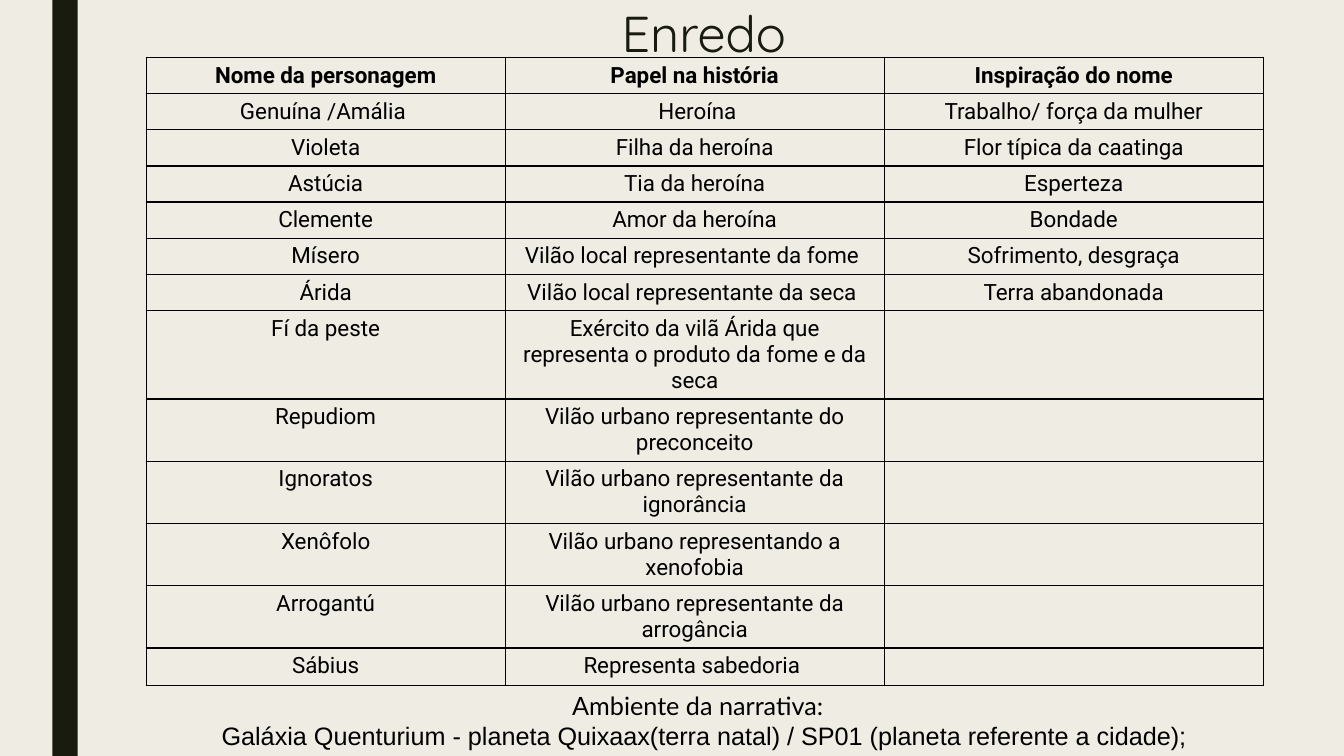
from lxml.etree import SubElement
from pptx import Presentation
from pptx.dml.color import RGBColor
from pptx.enum.shapes import MSO_SHAPE
from pptx.enum.text import MSO_ANCHOR, MSO_AUTO_SIZE, PP_ALIGN
from pptx.oxml.ns import qn
from pptx.util import Inches, Pt

WIDTH, HEIGHT = 13.33, 7.5
CREAM, DARK, BLACK = "EFEDE3", "191B0E", "000000"
TITLE = "Enredo"
HEADER = ("Nome da personagem", "Papel na história", "Inspiração do nome")
CHARACTERS = [
    ("Genuína /Amália ", " Heroína", "Trabalho/ força da mulher", 1),
    ("Violeta", "Filha da heroína", "Flor típica da caatinga", 1),
    ("Astúcia", "Tia da heroína", "Esperteza", 1),
    ("Clemente", "Amor da heroína", "Bondade", 1),
    ("Mísero", "Vilão local representante da fome ", "Sofrimento, desgraça", 1),
    ("Árida", "Vilão local representante da seca ", "Terra abandonada", 1),
    ("Fí da peste", "Exército da vilã Árida que representa o produto da fome e da seca", "", 3),
    ("Repudiom", "Vilão urbano representante do preconceito", "", 2),
    ("Ignoratos", "Vilão urbano representante da ignorância", "", 2),
    ("Xenôfolo", "Vilão urbano representando a xenofobia", "", 2),
    ("Arrogantú", "Vilão urbano representante da arrogância", "", 2),
    ("Sábius", "Representa sabedoria ", "", 1),
]
SETTING = [
    ("Ambiente da narrativa:  ", "Lato"),
    ("Galáxia Quenturium - planeta Quixaax(terra natal) / SP01 (planeta referente a cidade);", "Arial"),
]
COLUMNS = (3.56, 3.76, 3.76)
TABLE_LEFT, TABLE_TOP, TABLE_HEIGHT = 1.45, 0.57, 6.22
LINE, PADDING, CELL_SIZE = 0.26, 0.1, 16


def color(value):
    """Turn a hex string into a colour."""
    return RGBColor.from_string(value)


def box(*lengths):
    """Turn lengths in inches into slide units."""
    return [Inches(length) for length in lengths]


def write(paragraph, text, font, size, ink=BLACK, bold=False):
    """Add one centred, formatted run to a paragraph."""
    paragraph.alignment = PP_ALIGN.CENTER
    run = paragraph.add_run()
    run.text = text
    run.font.name, run.font.size, run.font.bold = font, Pt(size), bold
    run.font.color.rgb = color(ink)


def outline(cell):
    """Draw thin black borders around a cell without a fill."""
    cell.fill.background()
    properties = cell._tc.get_or_add_tcPr()
    for position, side in enumerate(("lnL", "lnR", "lnT", "lnB")):
        border = SubElement(properties, qn(f"a:{side}"), w=str(Pt(1)))
        SubElement(SubElement(border, qn("a:solidFill")), qn("a:srgbClr"), val=BLACK)
        properties.insert(position, border)


def add_title(slide):
    """Place the heading above the table."""
    title = slide.shapes.title
    title.left, title.top, title.width, title.height = box(1.73, 0.04, 10.5, 1.62)
    frame = title.text_frame
    frame.vertical_anchor, frame.auto_size = MSO_ANCHOR.TOP, MSO_AUTO_SIZE.NONE
    frame.paragraphs[0].line_spacing = 0.89
    write(frame.paragraphs[0], TITLE, "Quicksand", 36, DARK)


def add_side_bar(slide):
    """Draw the dark bar along the left side."""
    bar = slide.shapes.add_shape(MSO_SHAPE.RECTANGLE, *box(0.52, 0, 0.25, HEIGHT))
    bar.shadow.inherit = False
    bar.fill.solid()
    bar.fill.fore_color.rgb = color(DARK)
    bar.line.fill.background()


def add_characters(slide):
    """Build the table with row heights set by their line counts."""
    rows = [(*HEADER, 1), *CHARACTERS]
    natural = [PADDING + LINE * lines for *_, lines in rows]
    area = box(TABLE_LEFT, TABLE_TOP, sum(COLUMNS), TABLE_HEIGHT)
    table = slide.shapes.add_table(len(rows), len(COLUMNS), *area).table
    table.first_row = table.horz_banding = False
    for column, width in zip(table.columns, COLUMNS):
        column.width = Inches(width)
    for index, (*texts, _) in enumerate(rows):
        table.rows[index].height = Inches(TABLE_HEIGHT * natural[index] / sum(natural))
        for cell, text in zip(table.rows[index].cells, texts):
            outline(cell)
            paragraph = cell.text_frame.paragraphs[0]
            if text:
                write(paragraph, text, "Roboto", CELL_SIZE, bold=index == 0)
            else:
                SubElement(paragraph._p, qn("a:endParaRPr"), sz=str(CELL_SIZE * 100))


def add_setting(slide):
    """Write where the story takes place below the table."""
    frame = slide.shapes.add_textbox(*box(0.97, 6.8, 12.03, 0.7)).text_frame
    frame.word_wrap = True
    for index, (text, font) in enumerate(SETTING):
        paragraph = frame.add_paragraph() if index else frame.paragraphs[0]
        write(paragraph, text, font, 18)


def main():
    """Build and save the slide."""
    deck = Presentation()
    deck.slide_width, deck.slide_height = box(WIDTH, HEIGHT)
    slide = deck.slides.add_slide(deck.slide_layouts[5])
    slide.background.fill.solid()
    slide.background.fill.fore_color.rgb = color(CREAM)
    add_side_bar(slide)
    add_title(slide)
    add_characters(slide)
    add_setting(slide)
    deck.save("out.pptx")


if __name__ == "__main__":
    main()
